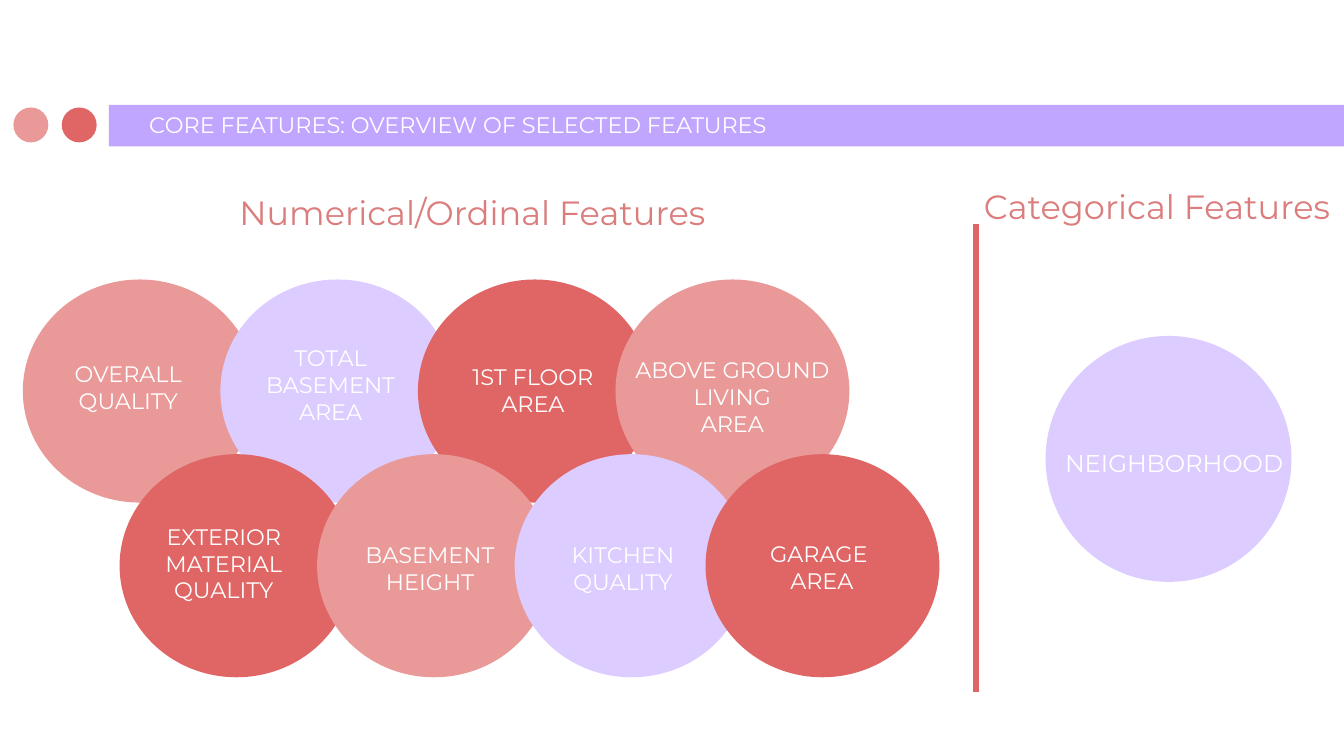
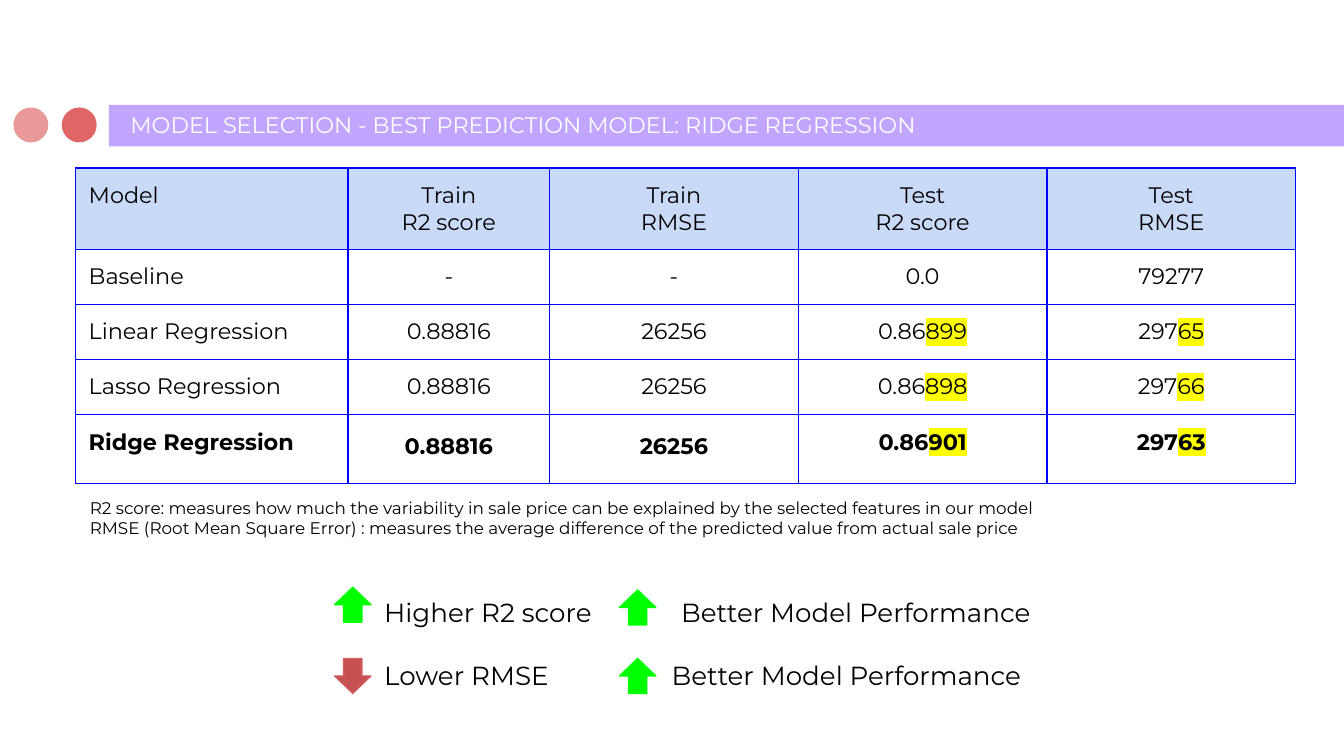
from itertools import product

from lxml.etree import SubElement
from pptx import Presentation
from pptx.dml.color import RGBColor
from pptx.enum.shapes import MSO_CONNECTOR, MSO_SHAPE
from pptx.enum.text import MSO_ANCHOR, MSO_AUTO_SIZE, PP_ALIGN
from pptx.oxml.ns import qn
from pptx.util import Inches, Pt

FONT = "Montserrat"
WHITE = RGBColor(0xFF, 0xFF, 0xFF)
BLACK = RGBColor(0x00, 0x00, 0x00)
PURPLE = RGBColor(0xC1, 0xA6, 0xFF)
LILAC = RGBColor(0xDC, 0xCC, 0xFF)
RED = RGBColor(0xE0, 0x66, 0x66)
PINK = RGBColor(0xEA, 0x99, 0x99)
ROSE = RGBColor(0xDB, 0x7D, 0x7D)
SKY = RGBColor(0xC9, 0xDA, 0xF8)
BLUE = RGBColor(0x00, 0x00, 0xFF)
YELLOW = RGBColor(0xFF, 0xFF, 0x00)
GREEN = RGBColor(0x00, 0xFF, 0x00)
BRICK = RGBColor(0xC5, 0x51, 0x51)
CORAL = RGBColor(0xD5, 0x5E, 0x5E)

PAD = 0.1
ROUND = (1.74, 1.66)
STEP = 1.47

# Label, circle colour, circle left, label box (left, top, width) in the circle
UPPER = [
    ("OVERALL\nQUALITY", PINK, 0, (0.19, 0.39, 1.19)),
    ("TOTAL\nBASEMENT\nAREA", LILAC, STEP, (0.01, 0.47, 1.62)),
    ("1ST FLOOR\nAREA", RED, 2 * STEP, (0.26, 0.41, 1.19)),
    ("ABOVE GROUND\nLIVING\nAREA", PINK, 3 * STEP, (0, 0.56, 1.74)),
]
LOWER = [
    ("EXTERIOR\nMATERIAL QUALITY", RED, 0, (0.18, 0.5, 1.19)),
    ("BASEMENT\nHEIGHT", PINK, STEP, (0.17, 0.44, 1.34)),
    ("KITCHEN\nQUALITY", LILAC, 2 * STEP, (0.21, 0.44, 1.19)),
    ("GARAGE \nAREA", RED, 4.36, (0.27, 0.43, 1.19)),
]

# The part of a score after "|" is highlighted
SCORES = [
    ("Model", "Train\nR2 score", "Train\nRMSE", "Test\nR2 score", "Test\nRMSE"),
    ("Baseline", "-", "-", "0.0", "79277"),
    ("Linear Regression", "0.88816", "26256", "0.86|899", "297|65"),
    ("Lasso Regression", "0.88816", "26256", "0.86|898", "297|66"),
    ("Ridge Regression", "0.88816", "26256", "0.86|901", "297|63"),
]
COLS = (2.03, 1.5, 1.85, 1.85, 1.85)
ROWS = (0.59, 0.41, 0.41, 0.41, 0.51)

NOTES = (
    "R2 score: measures how much the variability in sale price can be "
    "explained by the selected features in our model\n"
    "RMSE (Root Mean Square Error) : measures the average difference of the "
    "predicted value from actual sale price"
)


def place(box):
    return [Inches(size) for size in box]


def paint(parent, tag, color):
    """Add a colour element under parent and return it."""
    item = SubElement(parent, qn(tag))
    SubElement(item, qn("a:srgbClr")).set("val", str(color))
    return item


def write(frame, text, size=12, color=BLACK, align=PP_ALIGN.LEFT, bold=False,
          space=None, tab=None):
    """Write one paragraph a line; text after "|" is highlighted."""
    for row, line in enumerate(text.split("\n")):
        para = frame.add_paragraph() if row else frame.paragraphs[0]
        para.alignment = align
        if space:
            para.line_spacing = space
        if tab:
            stops = SubElement(para._p.get_or_add_pPr(), qn("a:tabLst"))
            stop = SubElement(stops, qn("a:tab"))
            stop.set("pos", str(Inches(tab)))
            stop.set("algn", "l")
        for part, words in enumerate(line.split("|")):
            run = para.add_run()
            run.text = words
            font = run.font
            font.size, font.bold = Pt(size), bold
            font.color.rgb = color
            if part:
                props = run._r.get_or_add_rPr()
                mark = paint(props, "a:highlight", YELLOW)
                props.find(qn("a:solidFill")).addnext(mark)
            font.name = FONT


def fit(frame, anchor):
    """Set padding, wrap and anchor of a text frame."""
    frame.margin_left = frame.margin_right = Inches(PAD)
    frame.margin_top = frame.margin_bottom = Inches(PAD)
    frame.word_wrap = True
    frame.auto_size = MSO_AUTO_SIZE.NONE
    frame.vertical_anchor = anchor


def label(slide, box, text, anchor=MSO_ANCHOR.TOP, **style):
    frame = slide.shapes.add_textbox(*place(box)).text_frame
    fit(frame, anchor)
    write(frame, text, **style)


def draw(slide, kind, box, fill, edge=None):
    shape = slide.shapes.add_shape(kind, *place(box))
    shape.shadow.inherit = False
    shape.fill.solid()
    shape.fill.fore_color.rgb = fill
    if edge is None:
        shape.line.fill.background()
    else:
        shape.line.color.rgb = edge
        shape.line.width = Pt(0.75)
    return shape


def add_band(slide):
    """Put the title band and its two dots on the layout of the slide."""
    tree = slide.slide_layout.shapes.element
    for kind, box, fill in (
        (MSO_SHAPE.RECTANGLE, (0.81, 0.78, 9.5, 0.31), PURPLE),
        (MSO_SHAPE.OVAL, (0.46, 0.8, 0.26, 0.26), RED),
        (MSO_SHAPE.OVAL, (0.1, 0.8, 0.26, 0.26), PINK),
    ):
        tree.append(draw(slide, kind, box, fill).element)


def set_title(slide, left, width, text):
    title = slide.shapes.title
    title.left, title.top, title.width, title.height = place(
        (left, 0.79, width, 0.34))
    fit(title.text_frame, MSO_ANCHOR.BOTTOM)
    write(title.text_frame, text, color=WHITE)


def add_row(slide, left, top, items):
    """Draw a row of overlapping circles, then their labels."""
    for _, fill, shift, _ in items:
        draw(slide, MSO_SHAPE.OVAL, (left + shift, top, *ROUND), fill)
    for text, _, shift, (dx, dy, width) in items:
        label(slide, (left + shift + dx, top + dy, width, 0.71), text,
              anchor=MSO_ANCHOR.BOTTOM, color=WHITE, align=PP_ALIGN.CENTER)


def add_rule(slide, left, top, end):
    rule = slide.shapes.add_connector(
        MSO_CONNECTOR.STRAIGHT, *place((left, top, left, end)))
    rule.line.color.rgb = RED
    rule.line.width = Pt(3)
    SubElement(rule.element.spPr, qn("a:effectLst"))


def add_group(slide, left, top):
    """Draw the one categorical feature."""
    draw(slide, MSO_SHAPE.OVAL, (left, top, 1.83, 1.83), LILAC)
    label(slide, (left, top + 0.83, 1.91, 0.32), "NEIGHBORHOOD", size=13,
          anchor=MSO_ANCHOR.BOTTOM, color=WHITE, align=PP_ALIGN.CENTER)


def edge_cell(cell):
    props = cell._tc.get_or_add_tcPr()
    for side in "LRTB":
        line = SubElement(props, qn("a:ln" + side))
        line.set("w", str(Pt(0.75)))
        paint(line, "a:solidFill", BLUE)


def add_scores(slide, left, top):
    frame = slide.shapes.add_table(
        len(ROWS), len(COLS),
        *place((left, top, sum(COLS), sum(ROWS))))
    table = frame.table
    table.first_row = table.horz_banding = False
    for col, width in zip(table.columns, COLS):
        col.width = Inches(width)
    for row, height in zip(table.rows, ROWS):
        row.height = Inches(height)
    for row, col in product(range(len(ROWS)), range(len(COLS))):
        cell = table.cell(row, col)
        best = row == len(ROWS) - 1
        cell.margin_left = cell.margin_right = Inches(PAD)
        cell.margin_top = cell.margin_bottom = Inches(PAD)
        edge_cell(cell)
        if row:
            cell.fill.background()
        else:
            cell.fill.solid()
            cell.fill.fore_color.rgb = SKY
        write(cell.text_frame, SCORES[row][col], bold=best,
              align=PP_ALIGN.CENTER if col else PP_ALIGN.LEFT,
              space=1.15 if best and col in (1, 2) else None)


def add_arrow(slide, left, top, up=True):
    kind = MSO_SHAPE.UP_ARROW if up else MSO_SHAPE.DOWN_ARROW
    fill, edge = (GREEN, GREEN) if up else (BRICK, CORAL)
    draw(slide, kind, (left, top, 0.27, 0.26), fill, edge)


def add_effect(slide, left, top, cause, tab, tops, up):
    """Draw a cause and its effect, each with an arrow before it."""
    label(slide, (left + 0.27, top, 5.1, 0.44),
          cause + "\tBetter Model Performance", size=14, tab=tab)
    add_arrow(slide, left, tops[0], up)
    add_arrow(slide, left + 2.12, tops[1])


def fill_features(slide):
    set_title(slide, 1.01, 5.48, "CORE FEATURES: OVERVIEW OF SELECTED FEATURES")
    add_row(slide, 0.17, 2.08, UPPER)
    add_row(slide, 0.89, 3.38, LOWER)
    add_group(slide, 7.78, 2.5)
    add_rule(slide, 7.26, 1.67, 5.15)
    for box, text in (
        ((1.56, 1.33, 3.91, 0.34), "Numerical/Ordinal Features"),
        ((7.16, 1.28, 2.9, 0.45), "Categorical Features"),
    ):
        label(slide, box, text, size=18, color=ROSE, align=PP_ALIGN.CENTER)


def fill_models(slide):
    set_title(slide, 0.87, 7.76,
              "MODEL SELECTION - BEST PREDICTION MODEL: RIDGE REGRESSION")
    add_scores(slide, 0.56, 1.25)
    label(slide, (0.57, 3.6, 8.36, 0.5), NOTES, size=9)
    add_effect(slide, 2.49, 4.34, "Higher R2 score", 2.21, (4.37, 4.39), True)
    add_effect(slide, 2.49, 4.81, "Lower RMSE", 2.14, (4.9, 4.9), False)


def main():
    deck = Presentation()
    deck.slide_width = Inches(10)
    deck.slide_height = deck.slide_width * 9 // 16
    layout = deck.slide_layouts[5]
    first, second = (deck.slides.add_slide(layout) for _ in range(2))
    add_band(first)
    fill_features(first)
    fill_models(second)
    deck.save("out.pptx")


if __name__ == "__main__":
    main()
